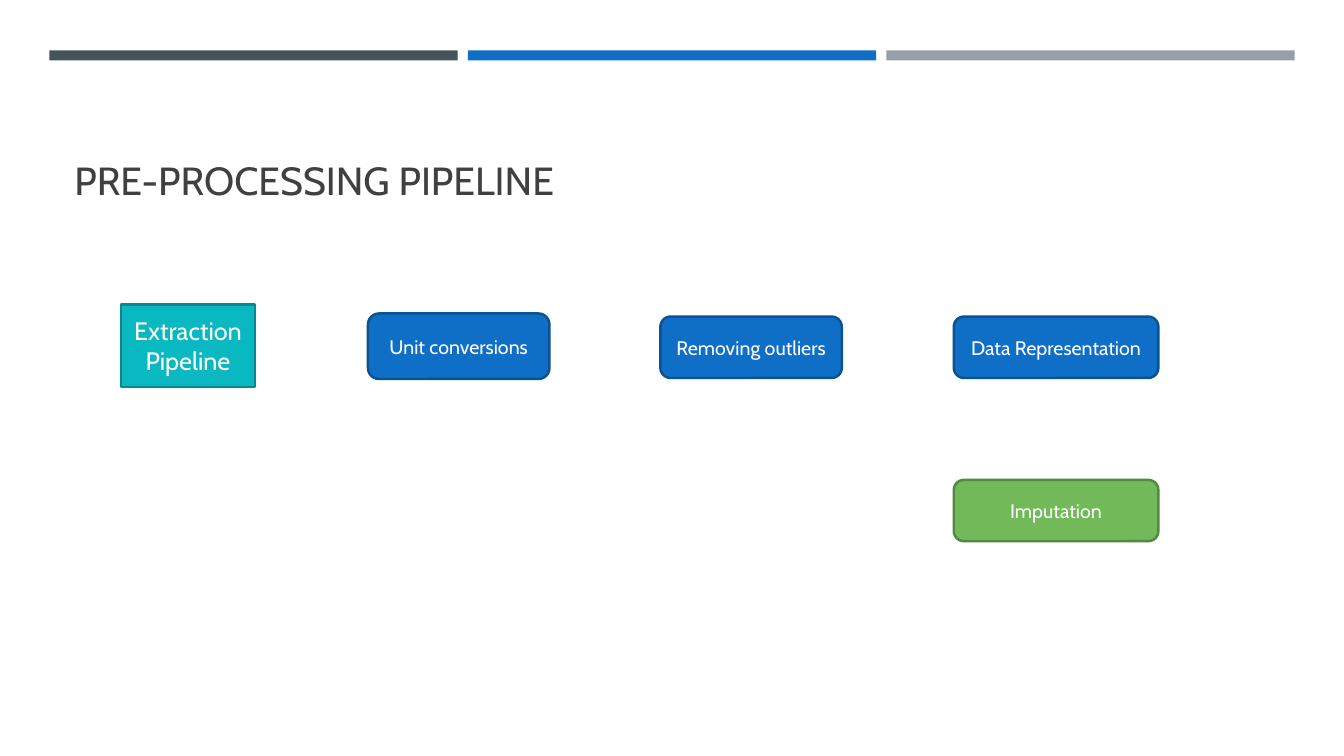
from pptx import Presentation
from pptx.dml.color import RGBColor
from pptx.enum import shapes, text
from pptx.util import Inches, Pt

SLATE = RGBColor(0x46, 0x53, 0x59)
BLUE = RGBColor(0x0F, 0x6F, 0xC6)
NAVY = RGBColor(0x0B, 0x52, 0x92)
GRAY = RGBColor(0x96, 0x9F, 0xA7)
TEAL = RGBColor(0x09, 0xB8, 0xC0)
PINE = RGBColor(0x07, 0x88, 0x8E)
GREEN = RGBColor(0x71, 0xB9, 0x59)
MOSS = RGBColor(0x54, 0x89, 0x42)
INK = RGBColor(0x40, 0x40, 0x40)
WHITE = RGBColor(0xFF, 0xFF, 0xFF)

RECT = shapes.MSO_SHAPE.RECTANGLE
ROUND = shapes.MSO_SHAPE.ROUNDED_RECTANGLE


class Deck:
    font = "Cabin"

    def __init__(self):
        self.prs = Presentation()
        self.prs.slide_width = Inches(13.33)
        self.prs.slide_height = Inches(7.5)
        self.slide = self.prs.slides.add_slide(self.prs.slide_layouts[6])

    def label(self, shape, words, size, color, align, anchor):
        frame = shape.text_frame
        frame.word_wrap = True
        frame.vertical_anchor = anchor
        para = frame.paragraphs[0]
        para.alignment = align
        run = para.add_run()
        run.text = words
        run.font.name = self.font
        run.font.size = Pt(size)
        run.font.color.rgb = color

    def shape(self, kind, place, fill):
        shape = self.slide.shapes.add_shape(kind, *map(Inches, place))
        shape.shadow.inherit = False
        shape.fill.solid()
        shape.fill.fore_color.rgb = fill
        return shape

    def bar(self, place, fill):
        self.shape(RECT, place, fill).line.fill.background()

    def title(self, place, words):
        box = self.slide.shapes.add_textbox(*map(Inches, place))
        self.label(box, words, 28, INK, text.PP_ALIGN.LEFT, text.MSO_ANCHOR.BOTTOM)

    def step(self, words, place, fill, edge, kind=ROUND, size=14):
        box = self.shape(kind, place, fill)
        box.line.color.rgb = edge
        box.line.width = Pt(1.75)
        self.label(box, words, size, WHITE, text.PP_ALIGN.CENTER, text.MSO_ANCHOR.MIDDLE)


def main():
    deck = Deck()
    for i, fill in enumerate((SLATE, BLUE, GRAY)):
        deck.bar((0.49 + 4.15 * i, 0.5, 4.05, 0.1), fill)
    deck.title((0.64, 0.77, 12.06, 1.3), "PRE-PROCESSING PIPELINE")
    deck.step("Extraction Pipeline", (1.2, 3.02, 1.33, 0.82), TEAL, PINE, RECT, 18)
    deck.step("Unit conversions", (3.65, 3.11, 1.8, 0.65), BLUE, NAVY)
    deck.step("Removing outliers", (6.55, 3.14, 1.8, 0.61), BLUE, NAVY)
    deck.step("Data Representation", (9.46, 3.14, 2.03, 0.61), BLUE, NAVY)
    deck.step("Imputation", (9.46, 4.76, 2.03, 0.61), GREEN, MOSS)
    deck.prs.save("out.pptx")


if __name__ == "__main__":
    main()
